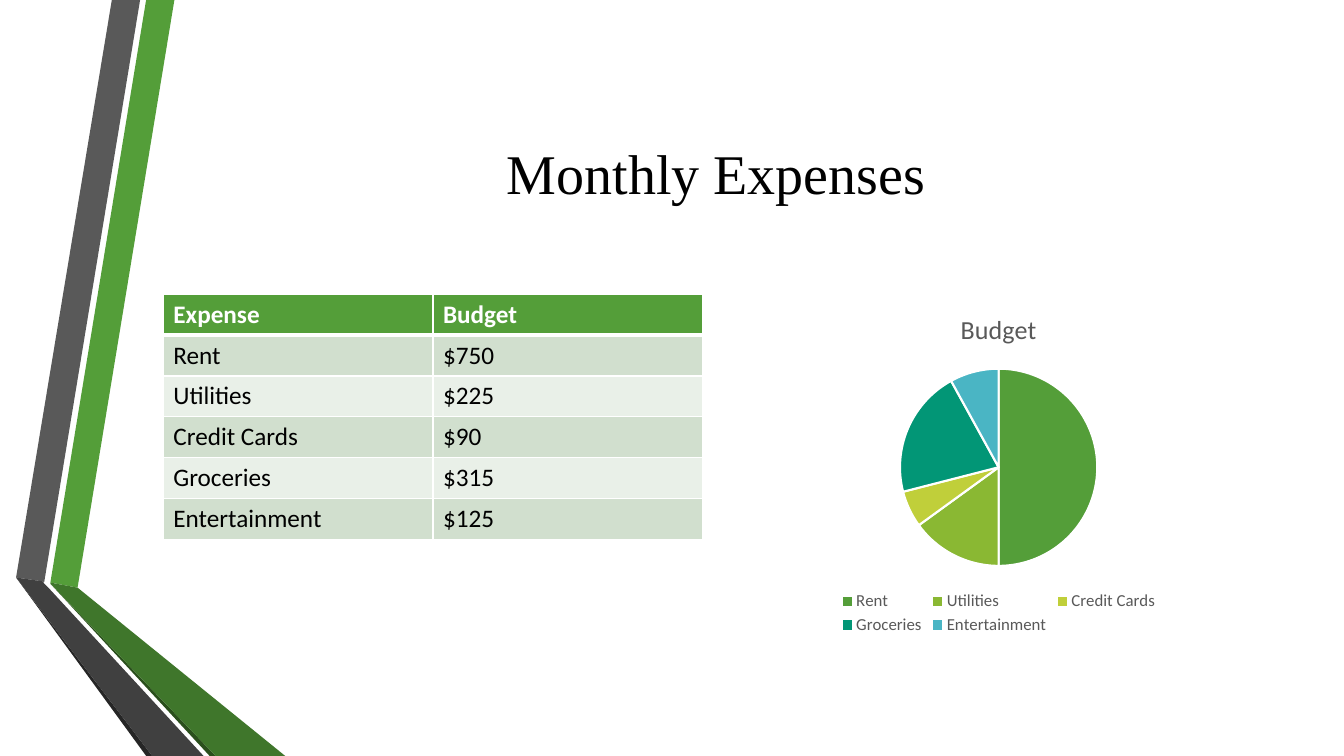
from lxml import etree
from pptx import Presentation, util as u
from pptx.chart.data import CategoryChartData
from pptx.dml.color import RGBColor
from pptx.enum import chart as ch, text
from pptx.oxml.ns import qn

COLORS = {
    "green": "549E39", "leaf": "3F762B", "forest": "2A4F1C",
    "gray": "595959", "charcoal": "404040", "soot": "262626",
    "lime": "8AB833", "yellow": "C0CF3A", "teal": "029676", "sky": "4AB5C4",
    "band_dark": "D1DFCE", "band_light": "E9F0E8",
    "white": "FFFFFF", "black": "000000",
}
RIBBONS = [
    ("green", [(0.5, 5.78), (0.77, 5.83), (1.73, 0), (1.45, 0)]),
    ("gray", [(1.39, 0), (1.11, 0), (0.16, 5.73), (0.44, 5.77)]),
    ("soot", [(0.16, 5.73), (1.45, 7.5), (1.51, 7.5)]),
    ("forest", [(0.5, 5.79), (2.08, 7.5), (2.14, 7.5)]),
    ("leaf", [(0.5, 5.79), (2.14, 7.5), (2.83, 7.5), (0.77, 5.83), (0.5, 5.78)]),
    ("charcoal", [(2.02, 7.5), (0.48, 5.83), (0.43, 5.78), (0.44, 5.77),
                  (0.16, 5.73), (1.51, 7.5)]),
]
EXPENSES = [
    ("Expense", "Budget"),
    ("Rent", "$750"),
    ("Utilities", "$225"),
    ("Credit Cards", "$90"),
    ("Groceries", "$315"),
    ("Entertainment", "$125"),
]
SHARES = [50, 15, 6, 21, 8]
SLICE_COLORS = ["green", "lime", "yellow", "teal", "sky"]


def rgb(name):
    return RGBColor.from_string(COLORS[name])


def paint(fill, color):
    fill.solid()
    fill.fore_color.rgb = rgb(color)


def style_font(font, color, **values):
    for key, value in values.items():
        setattr(font, key, value)
    font.color.rgb = rgb(color)


def add_ribbon(slide, color, corners):
    start, *rest = [(u.Inches(x), u.Inches(y)) for x, y in corners]
    builder = slide.shapes.build_freeform(*start)
    builder.add_line_segments(rest, close=True)
    ribbon = builder.convert_to_shape()
    paint(ribbon.fill, color)
    ribbon.line.fill.background()
    ribbon.shadow.inherit = False


def add_title(slide):
    title = slide.shapes.add_textbox(
        u.Inches(1.62), u.Inches(0.75), u.Inches(10.96), u.Inches(1.92))
    frame = title.text_frame
    frame.word_wrap = True
    frame.vertical_anchor = text.MSO_ANCHOR.MIDDLE
    heading = frame.paragraphs[0]
    heading.alignment = text.PP_ALIGN.CENTER
    run = heading.add_run()
    run.text = "Monthly Expenses"
    style_font(run.font, "black", name="Times New Roman", size=u.Pt(40))


def add_borders(cell, widths):
    """Draw white cell edges; widths maps L, R, T and B to points."""
    properties = cell._tc.get_or_add_tcPr()
    for side, width in widths.items():
        edge = etree.SubElement(properties, qn(f"a:ln{side}"), w=str(u.Pt(width)))
        solid = etree.SubElement(edge, qn("a:solidFill"))
        etree.SubElement(solid, qn("a:srgbClr"), val=COLORS["white"])


def add_expense_table(slide):
    table = slide.shapes.add_table(
        len(EXPENSES), 2, u.Inches(1.62), u.Inches(2.92),
        u.Inches(5.35), u.Inches(2.43)).table
    for row, values in enumerate(EXPENSES):
        header = row == 0
        band = "green" if header else ("band_light", "band_dark")[row % 2]
        for column, value in enumerate(values):
            cell = table.cell(row, column)
            add_borders(cell, {"L": 1, "R": 1, "T": 3 if row == 1 else 1,
                               "B": 3 if header else 1})
            paint(cell.fill, band)
            run = cell.text_frame.paragraphs[0].add_run()
            run.text = value
            style_font(run.font, "white" if header else "black",
                       name="Calibri", size=u.Pt(18), bold=header)


def add_budget_pie(slide):
    data = CategoryChartData()
    data.categories = [expense for expense, _ in EXPENSES[1:]]
    data.add_series("Budget", SHARES)
    chart = slide.shapes.add_chart(
        ch.XL_CHART_TYPE.PIE, u.Inches(7.23), u.Inches(2.92),
        u.Inches(5.35), u.Inches(3.42), data).chart
    style_font(chart.font, "black", name="Calibri", size=u.Pt(10))

    chart.has_title = True
    heading = chart.chart_title.text_frame.paragraphs[0].add_run()
    heading.text = "Budget"
    style_font(heading.font, "gray", name="Calibri", size=u.Pt(18.6), bold=False)
    chart.chart_title.include_in_layout = False

    chart.has_legend = True
    chart.legend.position = ch.XL_LEGEND_POSITION.BOTTOM
    chart.legend.include_in_layout = False
    style_font(chart.legend.font, "gray", name="Calibri", size=u.Pt(12))

    pie = chart.plots[0]
    pie.vary_by_categories = True
    for index, color in enumerate(SLICE_COLORS):
        piece = pie.series[0].points[index].format
        paint(piece.fill, color)
        paint(piece.line.fill, "white")
        piece.line.width = u.Pt(1.5)


def main():
    deck = Presentation()
    deck.slide_width, deck.slide_height = u.Inches(13.33), u.Inches(7.5)
    slide = deck.slides.add_slide(deck.slide_layouts[6])
    for color, corners in RIBBONS:
        add_ribbon(slide, color, corners)
    add_title(slide)
    add_expense_table(slide)
    add_budget_pie(slide)
    deck.save("out.pptx")


if __name__ == "__main__":
    main()
